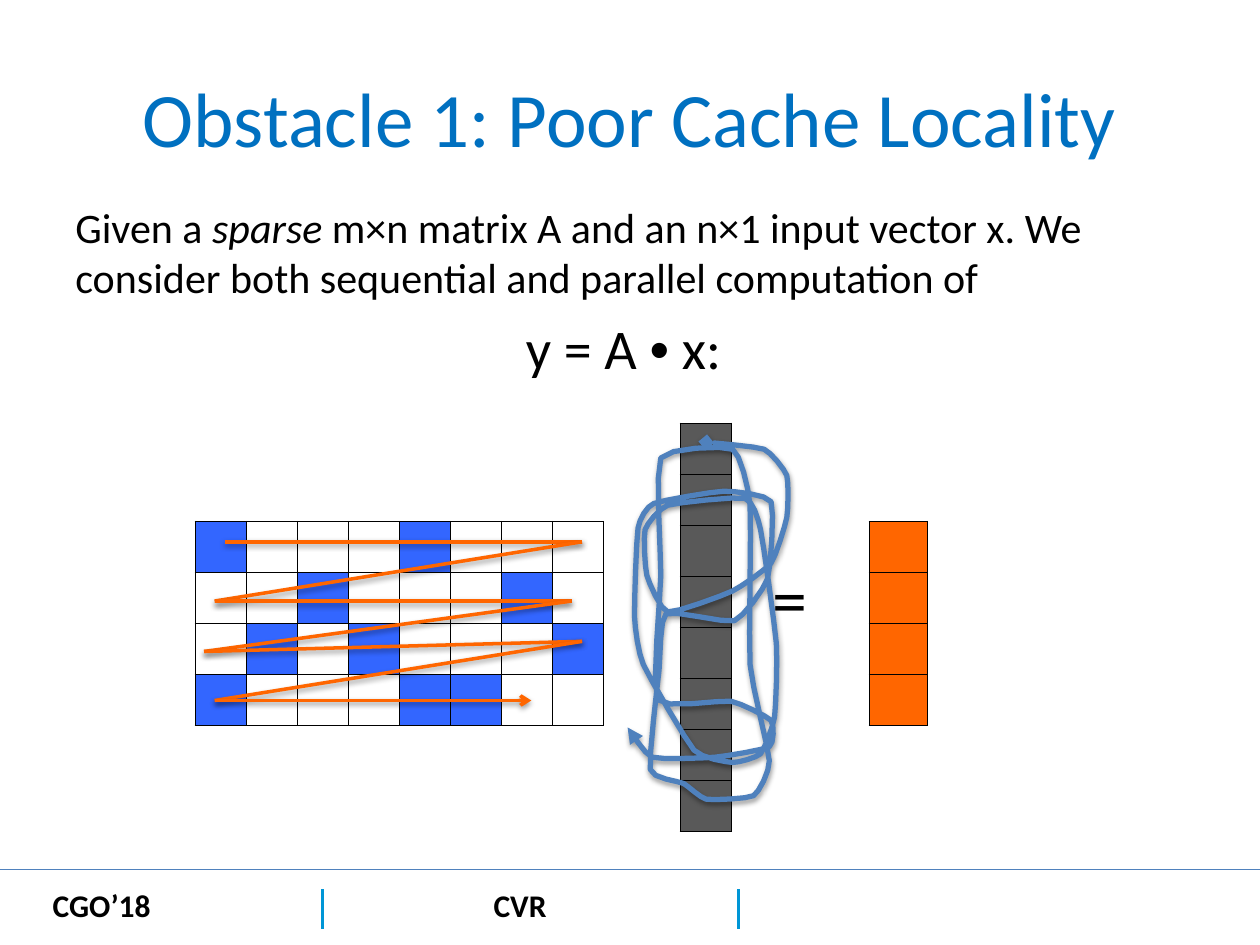
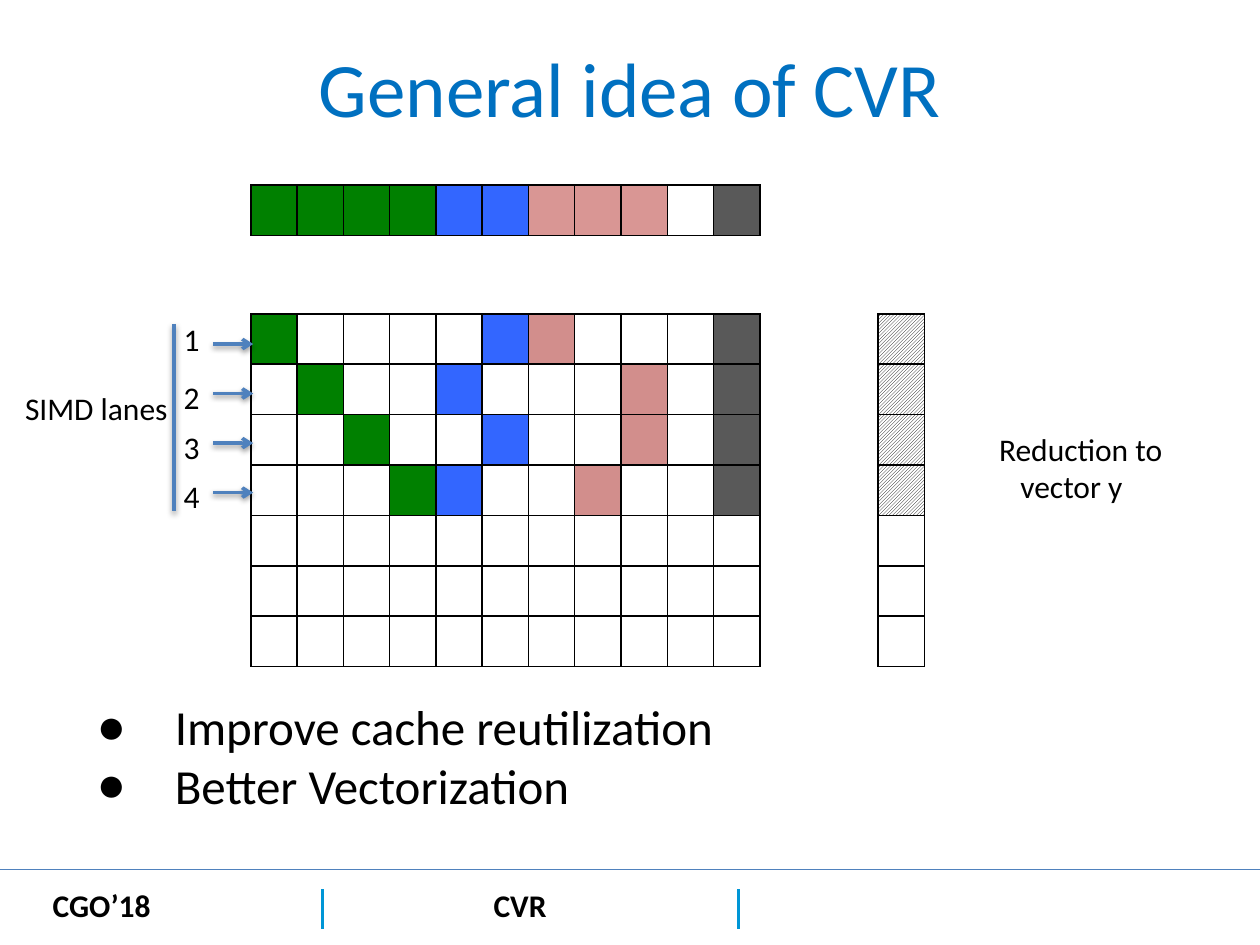
from dataclasses import dataclass

from lxml import etree
from pptx import Presentation
from pptx import util as u
from pptx.dml.color import RGBColor
from pptx.enum import dml, shapes, text
from pptx.oxml.ns import qn


@dataclass(frozen=True)
class Theme:
    font: str = "Calibri"
    symbol_font: str = "Arial"
    black: str = "000000"
    white: str = "FFFFFF"
    title: str = "0070C0"
    rule: str = "4F81BD"
    divider: str = "0096D6"
    blue: str = "3366FF"
    orange: str = "FF6600"
    gray: str = "595959"
    green: str = "008000"
    rose: str = "D28E8C"
    pink: str = "D99694"
    title_size: float = 44
    symbol_size: float = 40
    formula_size: float = 32
    bullet_size: float = 28
    body_size: float = 24
    label_size: float = 18


THEME = Theme()
CELL_FILLS = {"B": THEME.blue, "O": THEME.orange, "X": THEME.gray, "G": THEME.green,
              "R": THEME.rose, "P": THEME.pink, ".": THEME.white}
HATCHED = "/"

# Turns of the walk over the input vector, in points from the path's corner
ACCESS_TURNS = [
    (45, 0), (78, 4), (91, 19), (91, 43), (82, 69), (60, 85), (23, 97), (11, 76), (10, 50),
    (23, 36), (67, 32), (76, 50), (85, 115), (84, 157), (76, 178), (60, 183), (38, 176),
    (9, 127), (4, 100), (6, 49), (15, 35), (55, 28), (82, 34), (80, 78), (61, 102), (22, 98),
    (18, 130), (13, 187), (32, 195), (45, 204), (72, 202), (81, 182), (70, 127), (70, 36),
    (60, 4), (19, 9), (19, 76), (17, 147), (59, 148), (82, 159), (81, 174), (50, 180),
    (14, 180), (0, 163),
]

# Start and end of the walk along each matrix row
ROW_SWEEPS = [((17, 11.5), (221, 11.5)), ((11, 45.4), (215, 45.4)),
              ((5, 74.2), (221, 68.4)), ((11, 102.2), (192, 102.2))]


def rgb(color):
    return RGBColor.from_string(color)


def set_format(target, values):
    for name, value in values.items():
        setattr(target, name, value)


def add_xml(parent, tag, **attributes):
    return etree.SubElement(parent, qn(tag), attributes)


def add_run(paragraph, content, size, color=THEME.black, font=THEME.font, **values):
    run = paragraph.add_run()
    run.text = content
    set_format(run.font, {"name": font, "size": u.Pt(size), **values})
    run.font.color.rgb = rgb(color)


def add_text_box(slide, box, wrap=True, anchor=text.MSO_ANCHOR.TOP):
    frame = slide.shapes.add_textbox(*map(u.Pt, box)).text_frame
    fit = text.MSO_AUTO_SIZE.NONE if wrap else text.MSO_AUTO_SIZE.SHAPE_TO_FIT_TEXT
    set_format(frame, {"word_wrap": wrap, "auto_size": fit, "vertical_anchor": anchor})
    return frame


def add_label(slide, box, content, **values):
    frame = add_text_box(slide, box, wrap=False)
    add_run(frame.paragraphs[0], content, THEME.label_size, **values)
    return frame


def style_stroke(shape, color, width, shadow=False, head=None, tail=None):
    shape.line.color.rgb = rgb(color)
    shape.line.width = u.Pt(width)
    line = shape.line._get_or_add_ln()
    for tag, arrow in (("a:headEnd", head), ("a:tailEnd", tail)):
        if arrow:
            add_xml(line, tag, type=arrow)
    effects = add_xml(shape._element.spPr, "a:effectLst")
    if shadow:
        outer = add_xml(effects, "a:outerShdw", blurRad="40000", dist="20000",
                        dir="5400000", rotWithShape="0")
        shade = add_xml(outer, "a:srgbClr", val=THEME.black)
        add_xml(shade, "a:alpha", val="38000")


def add_line(slide, ends, color, width=2, **stroke):
    line = slide.shapes.add_connector(shapes.MSO_CONNECTOR.STRAIGHT, *map(u.Pt, ends))
    style_stroke(line, color, width, **stroke)


def fill_cell(cell, code):
    if code == HATCHED:
        cell.fill.patterned()
        cell.fill.pattern = dml.MSO_PATTERN.LIGHT_UPWARD_DIAGONAL
        cell.fill.fore_color.rgb = rgb(THEME.black)
        cell.fill.back_color.rgb = rgb(THEME.white)
    else:
        cell.fill.solid()
        cell.fill.fore_color.rgb = rgb(CELL_FILLS[code])


def border_cell(cell):
    properties = cell._tc.get_or_add_tcPr()
    for index, side in enumerate(("a:lnL", "a:lnR", "a:lnT", "a:lnB")):
        border = etree.Element(qn(side), {"w": str(u.Pt(1))})
        add_xml(add_xml(border, "a:solidFill"), "a:srgbClr", val=THEME.black)
        properties.insert(index, border)


def add_grid(slide, left, top, cell_width, cell_height, rows):
    """Draw a table of coloured cells; each row is a string of fill codes."""
    column_count = len(rows[0])
    box = (left, top, cell_width * column_count, cell_height * len(rows))
    table = slide.shapes.add_table(len(rows), column_count, *map(u.Pt, box)).table
    set_format(table, {"first_row": False, "horz_banding": False})
    for column in table.columns:
        column.width = u.Pt(cell_width)
    for row, codes in zip(table.rows, rows):
        row.height = u.Pt(cell_height)
        for cell, code in zip(row.cells, codes):
            set_format(cell, dict.fromkeys(
                ("margin_left", "margin_right", "margin_top", "margin_bottom"), 0))
            fill_cell(cell, code)
            border_cell(cell)


def add_footer(slide, top=496.8):
    add_line(slide, (0, top, 720, top), THEME.rule, width=1)
    for x in (184.3, 421.9):
        add_line(slide, (x, top + 11.5, x, top + 33.8), THEME.divider)
    for content, left, width in (("CGO’18", 23, 71.3), ("CVR", 275, 45.4)):
        add_label(slide, (left, top + 5.8, width, 28.8), content, bold=True)


def add_titled_slide(presentation, title, title_height):
    slide = presentation.slides.add_slide(presentation.slide_layouts[6])
    add_footer(slide)
    frame = add_text_box(slide, (36, 21.6, 648, title_height), anchor=text.MSO_ANCHOR.MIDDLE)
    frame.paragraphs[0].alignment = text.PP_ALIGN.CENTER
    add_run(frame.paragraphs[0], title, THEME.title_size, THEME.title)
    return slide


def add_problem_statement(slide, box):
    frame = add_text_box(slide, box)
    statement = frame.paragraphs[0]
    add_run(statement, "Given a ", THEME.body_size)
    add_run(statement, "sparse ", THEME.body_size, italic=True)
    add_run(statement, "m×n matrix A and an n×1 input vector x. We consider both "
                       "sequential and parallel computation of", THEME.body_size)
    formula = frame.add_paragraph()
    set_format(formula, {"alignment": text.PP_ALIGN.CENTER, "space_before": u.Pt(6.4)})
    add_run(formula, "y = A ", THEME.formula_size)
    add_run(formula, "•", THEME.formula_size, font=THEME.symbol_font)
    add_run(formula, " x: ", THEME.formula_size)


def add_matrix_walk(slide, left, top):
    turns = [(left + x, top + y) for sweep in ROW_SWEEPS for x, y in sweep]
    for index, (start, end) in enumerate(zip(turns, turns[1:]), start=2):
        tail = "arrow" if index == len(turns) else None
        add_line(slide, start + end, THEME.orange, shadow=True, tail=tail)


def smooth_path(turns, steps=4, tension=0.25):
    """Return points on a cardinal spline through the turns."""
    padded = [turns[0], *turns, turns[-1]]
    points = [turns[0]]
    for before, start, end, after in zip(padded, padded[1:], padded[2:], padded[3:]):
        for step in range(1, steps + 1):
            t = step / steps
            blend = t * t * (3 - 2 * t)
            leave, arrive = t * (1 - t) ** 2, t * t * (t - 1)
            points.append(tuple(
                a + (b - a) * blend + tension * (leave * (b - p) + arrive * (n - a))
                for p, a, b, n in zip(before, start, end, after)))
    return points


def add_access_path(slide, left, top):
    points = [(u.Pt(left + x), u.Pt(top + y)) for x, y in smooth_path(ACCESS_TURNS)]
    builder = slide.shapes.build_freeform(*points[0])
    builder.add_line_segments(points[1:], close=False)
    path = builder.convert_to_shape()
    path.fill.background()
    style_stroke(path, THEME.rule, 3, shadow=True, head="diamond", tail="triangle")


def add_multiplication(slide, left, top, cell=29.16):
    """Draw matrix, input vector and result; the box starts at the vector's top."""
    matrix_top = top + 56.2
    add_grid(slide, left, matrix_top, cell, cell,
             ["B...B...", "..B...B.", ".B.B...B", "B...BB.."])
    equals = add_text_box(slide, (left + 322.6, top + 72, 33.8, 56.9))
    add_run(equals.paragraphs[0], "=", THEME.symbol_size)
    add_grid(slide, left + 385.2, matrix_top, 33.12, cell, ["O"] * 4)
    add_grid(slide, left + 277.2, top, cell, cell, ["X"] * 8)
    add_matrix_walk(slide, left, matrix_top)
    add_access_path(slide, left + 247, top + 10.8)


def add_simd_lanes(slide, left, top):
    add_label(slide, (left, top + 39.6, 97.2, 28.8), "SIMD lanes")
    add_line(slide, (left + 92.2, top + 5.8, left + 92.2, top + 113), THEME.rule, shadow=True)
    for lane, label_offset in enumerate((0, 33.1, 61.9, 90)):
        add_label(slide, (left + 90.7, top + label_offset, 23.8, 28.8), str(lane + 1))
        y = top + 17.3 + lane * 28.3
        add_line(slide, (left + 114.5, y, left + 137.5, y), THEME.rule,
                 shadow=True, tail="arrow")


def add_reduction(slide, left, top, cell_width, cell_height):
    add_grid(slide, left, top, cell_width, cell_height, [HATCHED] * 4 + ["."] * 3)
    frame = add_label(slide, (left + 62, top + 62.6, 109.4, 51.1), "Reduction to")
    target = frame.add_paragraph()
    target._p.get_or_add_pPr().set("marL", str(u.Pt(12.2)))
    add_run(target, "vector y", THEME.label_size)


def add_bullets(slide, box, items, indent=44.64):
    frame = add_text_box(slide, box)
    for index, item in enumerate(items):
        paragraph = frame.add_paragraph() if index else frame.paragraphs[0]
        properties = paragraph._p.get_or_add_pPr()
        properties.set("marL", str(u.Pt(indent)))
        properties.set("indent", str(-u.Pt(indent)))
        add_xml(properties, "a:buFont", typeface=THEME.symbol_font)
        add_xml(properties, "a:buChar", char="●")
        add_run(paragraph, item, THEME.bullet_size)


def build_obstacle_slide(presentation):
    slide = add_titled_slide(presentation, "Obstacle 1: Poor Cache Locality", 90)
    add_problem_statement(slide, (36, 111.6, 648, 370.8))
    add_multiplication(slide, 111.6, 241.9)


def build_idea_slide(presentation):
    slide = add_titled_slide(presentation, "General idea of CVR", 55.4)
    add_bullets(slide, (48.2, 394.6, 612, 74.9),
                ["Improve cache reutilization", "Better Vectorization"])
    left, top, cell_width, cell_height = 143.3, 179.3, 26.45, 28.8
    lane_rows = ["G....BR...X", ".G..B...R.X", "..G..B..R.X", "...GB..R..X"]
    add_grid(slide, left, top, cell_width, cell_height, lane_rows + ["." * 11] * 3)
    add_grid(slide, left, 105.8, cell_width, cell_height, ["GGGGBBPPP.X"])
    add_simd_lanes(slide, 7.2, top)
    add_reduction(slide, 501.8, top, cell_width, cell_height)


def main():
    presentation = Presentation()
    set_format(presentation, {"slide_width": u.Pt(720), "slide_height": u.Pt(540)})
    build_obstacle_slide(presentation)
    build_idea_slide(presentation)
    presentation.save("out.pptx")


if __name__ == "__main__":
    main()
